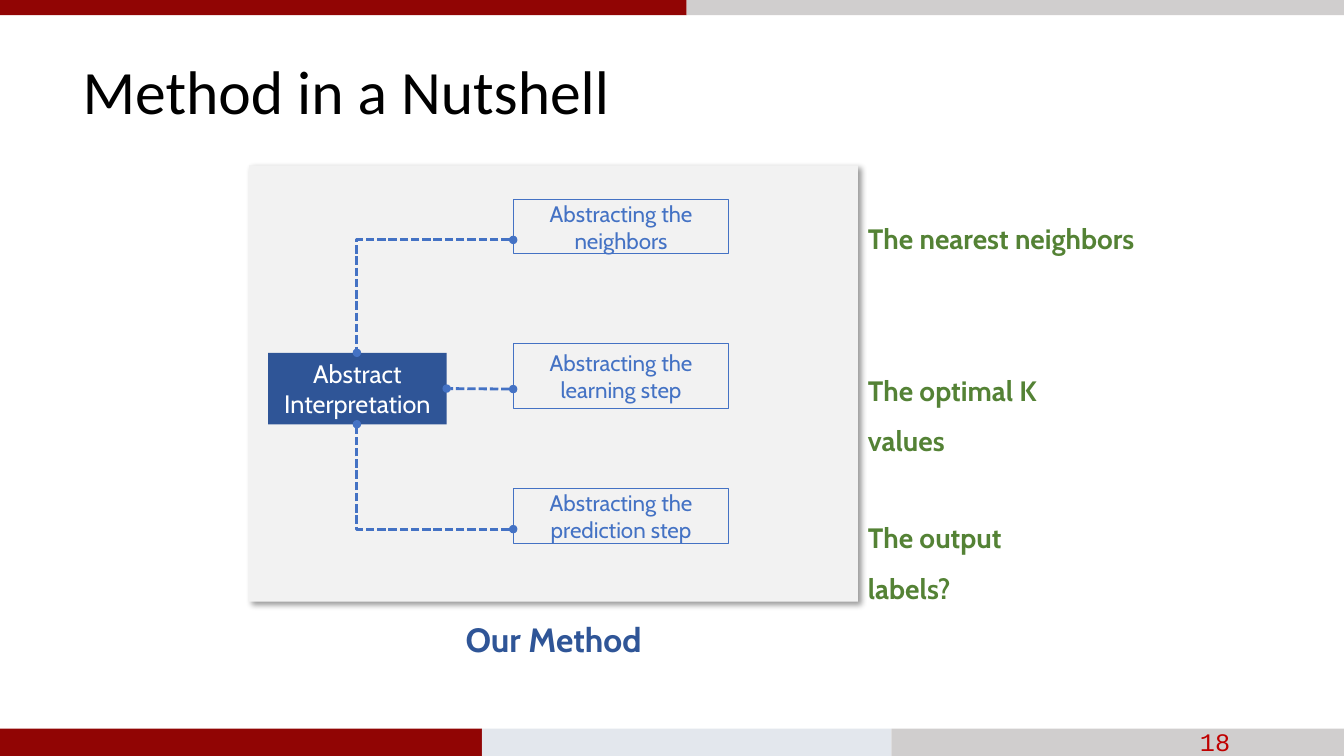
from lxml import etree
from pptx import Presentation
from pptx.dml.color import RGBColor
from pptx.enum.dml import MSO_LINE
from pptx.enum.shapes import MSO_CONNECTOR, MSO_SHAPE
from pptx.enum.text import MSO_ANCHOR, PP_ALIGN
from pptx.oxml import parse_xml
from pptx.oxml.ns import nsdecls, qn
from pptx.util import Pt

EMU_PER_PX = 9144  # 100 px to the inch

RED = RGBColor(0x91, 0x05, 0x04)
GRAY = RGBColor(0xD0, 0xCE, 0xCE)
PALE_BLUE = RGBColor(0xD6, 0xDC, 0xE5)
PANEL = RGBColor(0xF2, 0xF2, 0xF2)
NAVY = RGBColor(0x2F, 0x55, 0x97)
BLUE = RGBColor(0x44, 0x72, 0xC4)
GREEN = RGBColor(0x54, 0x82, 0x35)
NUMBER_RED = RGBColor(0xC0, 0x00, 0x00)
BLACK = RGBColor(0x00, 0x00, 0x00)
WHITE = RGBColor(0xFF, 0xFF, 0xFF)

SHADOW = (
    f'<a:effectLst {nsdecls("a")}>'
    '<a:outerShdw blurRad="50800" dist="38100" dir="2700000" algn="tl" rotWithShape="0">'
    '<a:srgbClr val="000000"><a:alpha val="40000"/></a:srgbClr>'
    '</a:outerShdw></a:effectLst>'
)


def px(*lengths):
    return [n * EMU_PER_PX for n in lengths]


class SlideBuilder:
    font = "Cabin"

    def __init__(self, prs):
        self.slide = prs.slides.add_slide(prs.slide_layouts[6])
        self.shapes = self.slide.shapes

    def rect(self, box, fill=None, line=None, alpha=None, shadow=False):
        sp = self.shapes.add_shape(MSO_SHAPE.RECTANGLE, *px(*box))
        if fill is None:
            sp.fill.background()
        else:
            sp.fill.solid()
            sp.fill.fore_color.rgb = fill
        if alpha is not None:
            color = sp._element.spPr.find(qn("a:solidFill"))[0]
            etree.SubElement(color, qn("a:alpha")).set("val", str(alpha * 1000))
        if line is None:
            sp.line.fill.background()
        else:
            sp.line.color.rgb = line
            sp.line.width = Pt(0.75)
        if shadow:
            sp._element.spPr.append(parse_xml(SHADOW))
        else:
            sp.shadow.inherit = False
        return sp

    def put_text(self, sp, text, size, color, bold=False, font=None,
                 align=PP_ALIGN.LEFT, anchor=MSO_ANCHOR.TOP, spacing=None):
        tf = sp.text_frame
        tf.word_wrap = True
        tf.vertical_anchor = anchor
        p = tf.paragraphs[0]
        p.alignment = align
        if spacing:
            p.line_spacing = spacing
        r = p.add_run()
        r.text = text
        r.font.name = font or self.font
        r.font.size = Pt(size)
        r.font.bold = bold
        r.font.color.rgb = color

    def label(self, box, *args, **style):
        self.put_text(self.shapes.add_textbox(*px(*box)), *args, **style)

    def box(self, box, text, size, color, inset=True, **look):
        sp = self.rect(box, **look)
        if not inset:
            tf = sp.text_frame
            tf.margin_left = tf.margin_right = tf.margin_top = tf.margin_bottom = 0
        self.put_text(sp, text, size, color, align=PP_ALIGN.CENTER, anchor=MSO_ANCHOR.MIDDLE)
        return sp

    def link(self, start, end, bent=False):
        """Dashed line with round ends; a bent one runs sideways, then up or down."""
        kind = MSO_CONNECTOR.ELBOW if bent else MSO_CONNECTOR.STRAIGHT
        c = self.shapes.add_connector(kind, *px(*start, *end))
        if bent:
            c._element.spPr.find(qn("a:prstGeom")).set("prst", "bentConnector2")
        c.line.color.rgb = BLUE
        c.line.width = Pt(2)
        c.line.dash_style = MSO_LINE.SQUARE_DOT
        ln = c._element.spPr.find(qn("a:ln"))
        for tag in ("a:headEnd", "a:tailEnd"):
            etree.SubElement(ln, qn(tag)).set("type", "oval")
        etree.SubElement(c._element.spPr, qn("a:effectLst"))
        return c


def main():
    prs = Presentation()
    prs.slide_width, prs.slide_height = px(1333, 750)
    s = SlideBuilder(prs)

    s.rect((247, 164, 604, 433), fill=PANEL, shadow=True)
    s.label((447, 609, 204, 50), "Our Method", 24, NAVY, bold=True, align=PP_ALIGN.CENTER)

    s.rect((0, 0, 681, 15), fill=RED)
    s.rect((681, 0, 652, 15), fill=GRAY)
    s.rect((0, 723, 478, 27), fill=RED)
    s.rect((478, 723, 406, 27), fill=PALE_BLUE, alpha=68)
    s.rect((884, 723, 449, 27), fill=GRAY)

    s.label((72, 48, 562, 84), "Method in a Nutshell", 44, BLACK, font="Calibri")

    hub = s.box((266, 350, 177, 71), "Abstract Interpretation", 18, WHITE, fill=NAVY)
    step_left, step_width, hub_middle = 509, 214, 354
    steps = [
        # top, height, text, inset, link y, hub edge y (None: side of the hub)
        (198, 54, "Abstracting the neighbors", False, 238, 350),
        (341, 64, "Abstracting the learning step", True, 386, None),
        (485, 54, "Abstracting the prediction step", False, 525, 421),
    ]
    for top, height, text, inset, link_y, hub_y in steps:
        s.box((step_left, top, step_width, height), text, 16, BLUE, inset=inset, line=BLUE)
        if hub_y is None:
            s.link((step_left, link_y), (443, link_y)).end_connect(hub, 3)
        else:
            s.link((step_left, link_y), (hub_middle, hub_y), bent=True)

    for top, width, height, text in [
        (198, 289, 61, "The nearest neighbors"),
        (349, 260, 55, "The optimal K values"),
        (495, 230, 61, "The output labels?"),
    ]:
        s.label((851, top, width, height), text, 20, GREEN, bold=True, spacing=1.5)

    s.label((930, 716, 300, 40), "18", 18, NUMBER_RED, font="Courier New",
            align=PP_ALIGN.RIGHT, anchor=MSO_ANCHOR.MIDDLE)

    prs.save("out.pptx")


if __name__ == "__main__":
    main()
